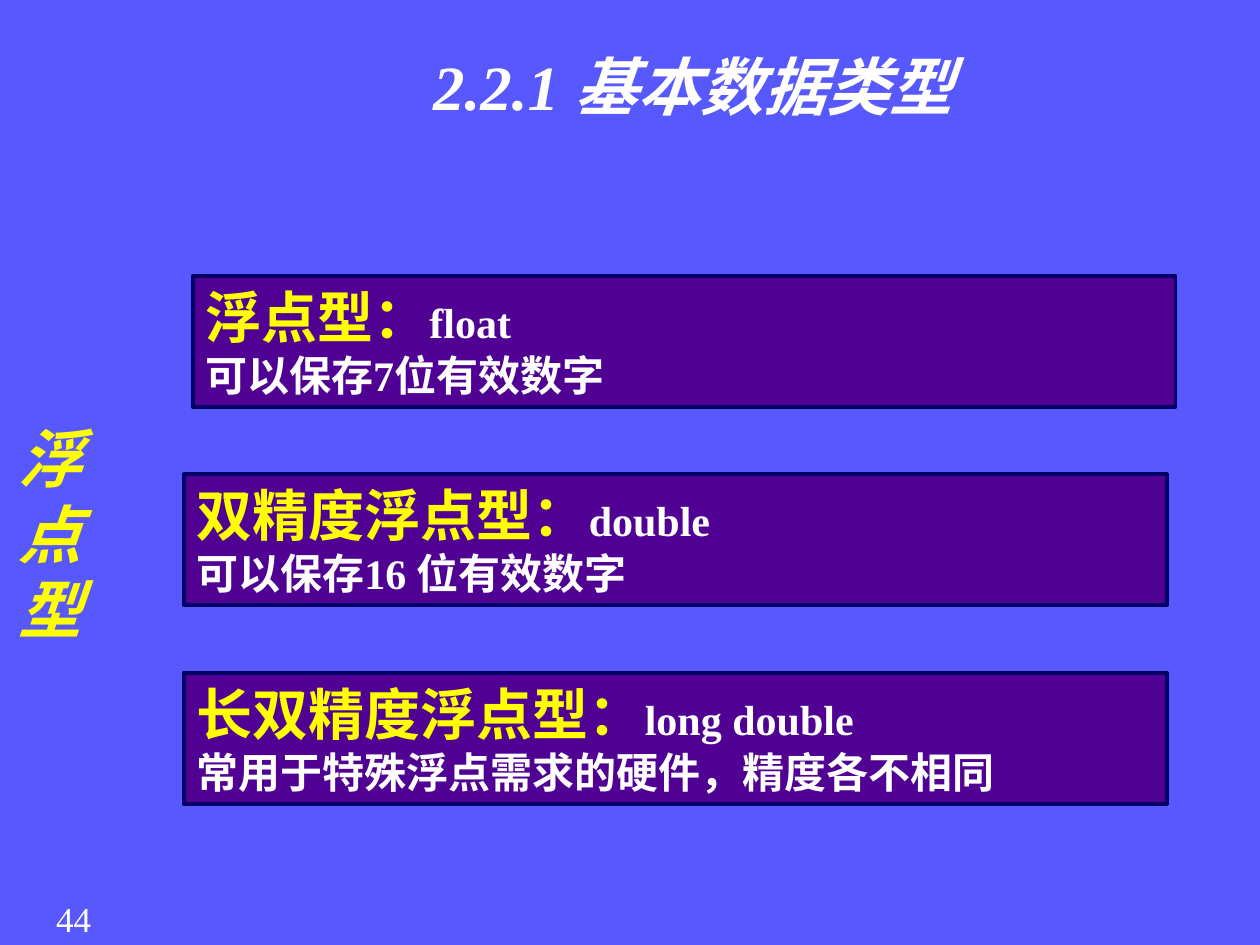
from pptx import Presentation
from pptx.dml.color import RGBColor
from pptx.enum.shapes import MSO_SHAPE
from pptx.enum.text import MSO_ANCHOR, MSO_AUTO_SIZE, PP_ALIGN
from pptx.util import Inches, Pt

FONT = "Times New Roman"
WHITE, YELLOW = "FFFFFF", "FFFF00"
BLUE, PURPLE, NAVY = "5858FF", "500093", "000066"

# Cards: a column of equal boxes at a constant pitch
CARD_WIDTH, CARD_HEIGHT = 7.8, 1.04
CARD_TOP, CARD_PITCH = 2.19, 1.575

# Left edge, type name, keyword, description
CARDS = [
    (1.53, "浮点型：", "float", "可以保存7位有效数字"),
    (1.46, "双精度浮点型：", "double", "可以保存16 位有效数字"),
    (1.46, "长双精度浮点型：", "long double",
     "常用于特殊浮点需求的硬件，精度各不相同"),
]


def color(hex_value):
    return RGBColor.from_string(hex_value)


def style(font, size, hex_value, bold=False, italic=False):
    font.name = FONT
    font.size = Pt(size)
    font.bold = bold
    font.italic = italic
    font.color.rgb = color(hex_value)


def add_title(slide, text):
    title = slide.shapes.title
    title.left, title.top = Inches(1.5), Inches(0.33)
    title.width, title.height = Inches(8), Inches(1.25)
    frame = title.text_frame
    frame.text = text
    frame.auto_size = MSO_AUTO_SIZE.NONE
    frame.vertical_anchor = MSO_ANCHOR.TOP
    heading = frame.paragraphs[0]
    heading.alignment = PP_ALIGN.CENTER
    style(heading.font, 36, WHITE, bold=True, italic=True)


def add_label(slide, text, box, size, hex_value, emphasis=False):
    frame = slide.shapes.add_textbox(*map(Inches, box)).text_frame
    frame.word_wrap = True
    frame.text = text
    label = frame.paragraphs[0]
    label.alignment = PP_ALIGN.CENTER
    style(label.font, size, hex_value, bold=emphasis, italic=emphasis)


def add_card(slide, left, top, type_name, keyword, description):
    card = slide.shapes.add_shape(
        MSO_SHAPE.RECTANGLE, Inches(left), Inches(top),
        Inches(CARD_WIDTH), Inches(CARD_HEIGHT))
    card.shadow.inherit = False
    card.fill.solid()
    card.fill.fore_color.rgb = color(PURPLE)
    card.line.color.rgb = color(NAVY)
    card.line.width = Pt(2.25)

    frame = card.text_frame
    frame.word_wrap = True
    frame.vertical_anchor = MSO_ANCHOR.TOP
    entry = frame.paragraphs[0]
    entry.alignment = PP_ALIGN.LEFT

    def add_part(text, size, hex_value):
        part = entry.add_run()
        part.text = text
        style(part.font, size, hex_value, bold=True)

    add_part(type_name, 32, YELLOW)
    add_part(keyword, 24, WHITE)
    entry.add_line_break()
    add_part(description, 24, WHITE)


def main():
    deck = Presentation()
    deck.slide_width, deck.slide_height = Inches(10), Inches(7.5)
    slide = deck.slides.add_slide(deck.slide_layouts[5])
    slide.background.fill.solid()
    slide.background.fill.fore_color.rgb = color(BLUE)

    # Title, page number and side heading (one character per line)
    add_title(slide, "2.2.1 基本数据类型")
    add_label(slide, "44", (0.17, 7.07, 0.83, 0.43), 20, WHITE)
    add_label(slide, "浮点型", (0, 3.28, 0.79, 1.9), 36, YELLOW, emphasis=True)

    # One card per floating-point type
    for row, (left, *texts) in enumerate(CARDS):
        add_card(slide, left, CARD_TOP + row * CARD_PITCH, *texts)

    deck.save("out.pptx")


if __name__ == "__main__":
    main()
